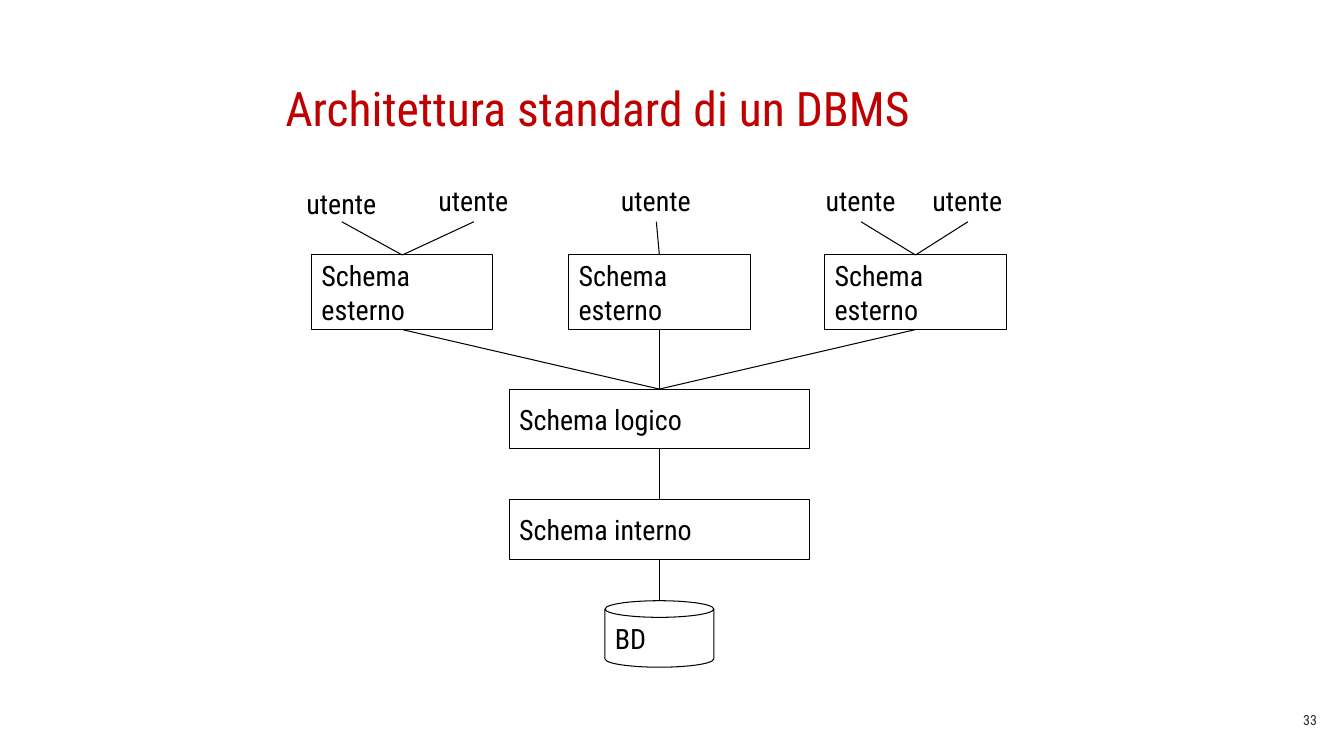
from pptx import Presentation
from pptx.dml.color import RGBColor
from pptx.enum.shapes import MSO_CONNECTOR, MSO_SHAPE
from pptx.enum.text import MSO_ANCHOR, MSO_AUTO_SIZE, PP_ALIGN
from pptx.oxml.ns import qn
from pptx.util import Inches, Pt
from lxml import etree

STRAIGHT = MSO_CONNECTOR.STRAIGHT
RECTANGLE, CAN = MSO_SHAPE.RECTANGLE, MSO_SHAPE.CAN
TOP, MIDDLE, BOTTOM = MSO_ANCHOR.TOP, MSO_ANCHOR.MIDDLE, MSO_ANCHOR.BOTTOM
LEFT, RIGHT = PP_ALIGN.LEFT, PP_ALIGN.RIGHT
NO_FIT, GROW = MSO_AUTO_SIZE.NONE, MSO_AUTO_SIZE.SHAPE_TO_FIT_TEXT

FONT = "Roboto Condensed"
BLACK, WHITE, RED, SLATE = "000000", "FFFFFF", "C00000", "222A35"
CENTER = 6.54
EXTERNAL_TOP, EXTERNAL_BOTTOM = 2.53, 3.27
LOGICAL_TOP, INTERNAL_TOP, STORE_TOP = 3.86, 4.96, 5.96
LEVEL_HEIGHT = 0.59
USER_LINE_TOP = 2.2
EXTERNAL_SCHEMAS = [
    (3.99, [(3.39, 1.8), (4.7, 1.77)]),
    (CENTER, [(6.51, 1.77)]),
    (9.08, [(8.54, 1.77), (9.6, 1.77)]),
]


def color(value):
    return RGBColor.from_string(value)


def write(shape, text, size=20, tint=BLACK, anchor=MIDDLE, align=LEFT, wrap=True, fit=NO_FIT):
    frame = shape.text_frame
    frame.text = text
    frame.word_wrap = wrap
    frame.auto_size = fit
    frame.vertical_anchor = anchor
    for para in frame.paragraphs:
        para.alignment = align
        for span in para.runs:
            span.font.name = FONT
            span.font.size = Pt(size)
            span.font.color.rgb = color(tint)


def add_title(page, text):
    title = page.shapes.title
    title.left, title.top = Inches(2.73), Inches(0.44)
    title.width, title.height = Inches(7.32), Inches(0.96)
    write(title, text, 34, RED, BOTTOM)


def add_label(page, text, left, top, width, height, **style):
    box = page.shapes.add_textbox(Inches(left), Inches(top), Inches(width), Inches(height))
    write(box, text, **style)


def add_node(page, text, center, top, width, height, kind=RECTANGLE):
    node = page.shapes.add_shape(
        kind, Inches(center - width / 2), Inches(top), Inches(width), Inches(height))
    node.shadow.inherit = False
    node.fill.solid()
    node.fill.fore_color.rgb = color(WHITE)
    node.line.color.rgb = color(BLACK)
    node.line.width = Pt(0.75)
    write(node, text)
    return node


def add_link(page, x1, y1, x2, y2):
    link = page.shapes.add_connector(STRAIGHT, Inches(x1), Inches(y1), Inches(x2), Inches(y2))
    link.line.color.rgb = color(BLACK)
    link.line.width = Pt(0.75)
    etree.SubElement(link.element.spPr, qn("a:effectLst"))


def add_external_schema(page, center, users):
    add_node(page, "Schema\nesterno", center, EXTERNAL_TOP, 1.8, EXTERNAL_BOTTOM - EXTERNAL_TOP)
    add_link(page, center, EXTERNAL_BOTTOM, CENTER, LOGICAL_TOP)
    for user_center, user_top in users:
        add_label(page, "utente", user_center - 0.45, user_top, 0.9, 0.44,
                  anchor=TOP, wrap=False, fit=GROW)
        add_link(page, center, EXTERNAL_TOP, user_center, USER_LINE_TOP)


def main():
    deck = Presentation()
    deck.slide_width, deck.slide_height = Inches(13.33), Inches(7.5)
    page = deck.slides.add_slide(deck.slide_layouts[5])
    add_title(page, "Architettura standard di un DBMS")
    for center, users in EXTERNAL_SCHEMAS:
        add_external_schema(page, center, users)
    add_node(page, "Schema logico", CENTER, LOGICAL_TOP, 2.98, LEVEL_HEIGHT)
    add_node(page, "Schema interno", CENTER, INTERNAL_TOP, 2.98, LEVEL_HEIGHT)
    store = add_node(page, "BD", CENTER, STORE_TOP, 1.08, 0.66, CAN)
    store.adjustments[0] = 0.25
    add_link(page, CENTER, LOGICAL_TOP + LEVEL_HEIGHT, CENTER, INTERNAL_TOP)
    add_link(page, CENTER, INTERNAL_TOP + LEVEL_HEIGHT, CENTER, STORE_TOP)
    add_label(page, "33", 9.42, 6.95, 3.74, 0.39,
              size=10, tint=SLATE, anchor=MIDDLE, align=RIGHT)
    deck.save("out.pptx")


if __name__ == "__main__":
    main()
